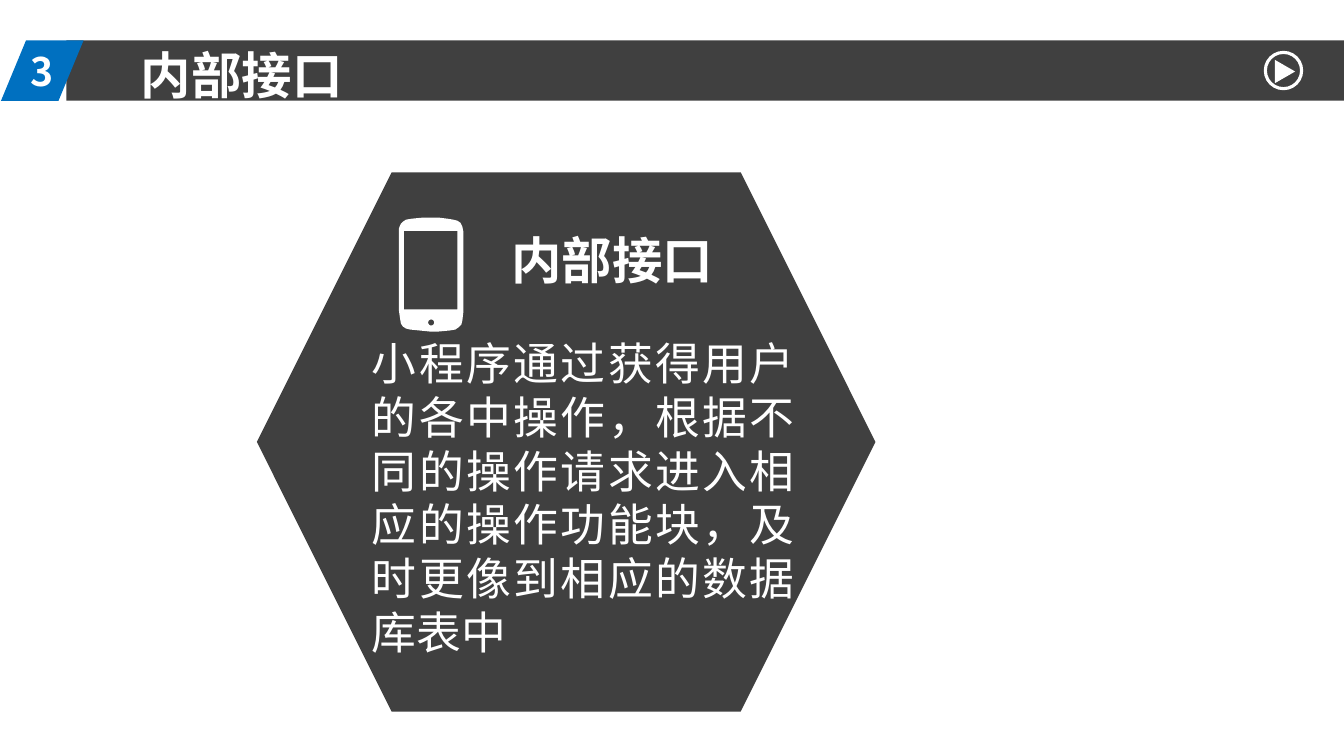
from math import cos, pi, sin

from lxml import etree
from pptx import Presentation
from pptx.dml.color import RGBColor
from pptx.enum.shapes import MSO_SHAPE
from pptx.enum.text import MSO_ANCHOR, PP_ALIGN
from pptx.oxml.ns import qn
from pptx.util import Pt

RECT, SLANT = MSO_SHAPE.RECTANGLE, MSO_SHAPE.PARALLELOGRAM
OVAL, HEX = MSO_SHAPE.OVAL, MSO_SHAPE.HEXAGON
ARROW = MSO_SHAPE.ISOSCELES_TRIANGLE
MIDDLE, TOP = MSO_ANCHOR.MIDDLE, MSO_ANCHOR.TOP
LEFT, CENTER, JUST = PP_ALIGN.LEFT, PP_ALIGN.CENTER, PP_ALIGN.JUSTIFY

PX = 9144  # 100 px to the inch
THEME = {
    "dark": RGBColor(0x40, 0x40, 0x40),
    "blue": RGBColor(0x00, 0x70, 0xC0),
    "white": RGBColor(0xFF, 0xFF, 0xFF),
    "head": ("Calibri", 36, True),
    "body": ("Times New Roman", 32, False),
    "badge": ("Noto Sans CJK SC", 28, True),
    "asian": "Noto Sans CJK SC",
}

deck = Presentation()
deck.slide_width, deck.slide_height = 1334 * PX, 750 * PX
shapes = deck.slides.add_slide(deck.slide_layouts[6]).shapes


def draw(kind, box, fill):
    shape = shapes.add_shape(kind, *(n * PX for n in box))
    shape.shadow.inherit = False
    shape.line.fill.background()
    if fill:
        shape.fill.solid()
        shape.fill.fore_color.rgb = THEME[fill]
    else:
        shape.fill.background()
    return shape


def write(shape, text, style, align, anchor, pads, lead=None):
    face, size, bold = THEME[style]
    frame = shape.text_frame
    frame.word_wrap, frame.vertical_anchor = True, anchor
    frame.margin_left = frame.margin_right = pads[0] * PX
    frame.margin_top, frame.margin_bottom = pads[1] * PX, pads[2] * PX
    para = frame.paragraphs[0]
    para.alignment = align
    if lead:
        para.line_spacing = Pt(size * lead)
    run = para.add_run()
    run.text = text
    font = run.font
    font.name, font.size, font.bold = face, Pt(size), bold
    font.color.rgb = THEME["white"]
    asian = etree.SubElement(font._element, qn("a:ea"))
    asian.set("typeface", THEME["asian"])


# Header bar and number badge
draw(RECT, (66, 40, 1268, 60), "dark")
badge = draw(SLANT, (1, 40, 82, 60), "blue")
badge.adjustments[0] = 0.415
write(badge, "3", "badge", CENTER, MIDDLE, (10, 5, 5))

# Play button
ring = draw(OVAL, (1256, 52, 36, 36), None)
ring.line.color.rgb = THEME["white"]
ring.line.width = Pt(2.25)
draw(ARROW, (1264, 61, 23, 20), "white").rotation = 90

# Hexagon
draw(HEX, (255, 171, 614, 535), "dark").adjustments[0] = 0.25

# Phone: body, then button and screen as holes
body = [
    (460, 230), (459, 225), (457, 221), (454, 219), (450, 218), (444, 217),
    (436, 216), (419, 216), (409, 217), (403, 218), (400, 220), (398, 222),
    (397, 224), (396, 227), (396, 308), (397, 315), (398, 321), (400, 324),
    (403, 326), (407, 327), (417, 328), (427, 329), (435, 329), (446, 328),
    (452, 327), (455, 325), (458, 322), (459, 318), (460, 309),
]
turns = [pi * k / 8 for k in range(16)]
button = [(428 + 3 * cos(t), 320 + 3 * sin(t)) for t in turns]
screen = [(454, 307), (401, 307), (401, 229), (454, 229)]
pen = shapes.build_freeform(body[0][0] * PX, body[0][1] * PX)
for ring_pts in (body, button, screen):
    dots = [(round(x * PX), round(y * PX)) for x, y in ring_pts]
    if ring_pts is not body:
        pen.move_to(*dots[0])
    pen.add_line_segments(dots[1:], close=True)
phone = pen.convert_to_shape()
phone.shadow.inherit = False
phone.fill.solid()
phone.fill.fore_color.rgb = THEME["white"]
phone.line.fill.background()

# Title, heading and text
story = (
    "小程序通过获得用户的各中操作，根据不同的操作请求进入相应的操作功能块，"
    "及时更像到相应的数据库表中"
)
for box, text, style, align, pads in (
    ((130, 35, 432, 70), "内部接口", "head", LEFT, (10, 9, 1)),
    ((498, 218, 263, 70), "内部接口", "head", LEFT, (10, 9, 1)),
    ((369, 329, 420, 320), story, "body", JUST, (0, 4, 0)),
):
    label = shapes.add_textbox(*(n * PX for n in box))
    write(label, text, style, align, TOP, pads, 1.2)

deck.save("out.pptx")
